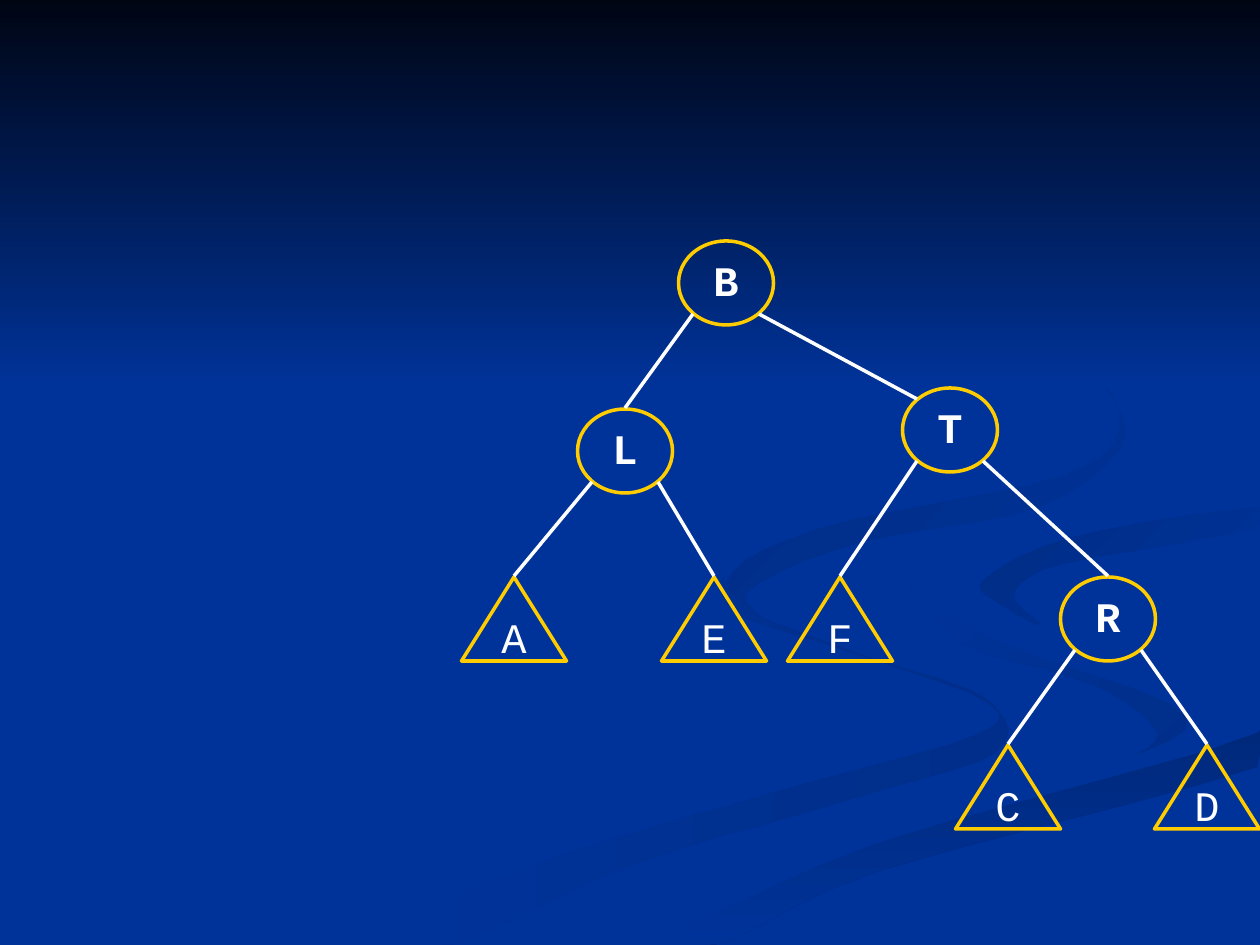
from lxml import etree
from pptx import Presentation
from pptx import util as u
from pptx.dml import color
from pptx.enum import shapes, text
from pptx.oxml import ns

SLIDE = (1260, 945)
SCALE = u.Inches(1) / 126
BLUE, GOLD, WHITE = "003399", "FFCC00", "FFFFFF"
LINE_WIDTH = u.Pt(2)
CIRCLE = (95, 84)
TRIANGLE = (105, 84)
CORNER = (33, 31)
STEPS = 5

RIBBONS = [
    ("002E8A", BLUE, 180, [
        (984, 697), (859, 654), (748, 611), (723, 578), (738, 614), (856, 654), (984, 701),
        (975, 735), (776, 792), (525, 869), (378, 944), (455, 944), (629, 866), (852, 799),
        (997, 752)]),
    ("002E8A", BLUE, 225, [
        (1188, 718), (1140, 680), (998, 641), (912, 585), (965, 645), (1094, 685), (1157, 732),
        (1126, 762), (1174, 742)]),
    ("00297C", BLUE, 90, [
        (634, 944), (719, 944), (876, 872), (1257, 767), (1257, 732), (963, 815), (794, 873)]),
    (BLUE, BLUE, 90, [
        (914, 585), (999, 641), (1188, 718), (1062, 779), (780, 862), (601, 944), (654, 941),
        (877, 843), (1259, 732), (1259, 678), (1068, 634), (984, 583), (1071, 538), (1259, 507),
        (1259, 488), (993, 532)]),
    (BLUE, "002C85", 225, [
        (984, 580), (997, 602), (1041, 625), (1014, 595), (1062, 564), (1257, 529), (1257, 507),
        (1070, 538)]),
    (BLUE, "002B81", 225, [
        (861, 542), (1040, 507), (1126, 433), (1062, 347), (960, 294), (1077, 359), (1120, 422),
        (1061, 476), (818, 529), (727, 582), (784, 630), (747, 592)]),
]
SKY = ("000514", BLUE, 90, (0, 0, 1260, 388))

CENTERS = {"B": (726, 283), "L": (625, 451), "T": (950, 430), "R": (1108, 619),
           "A": (514, 619), "E": (714, 619), "F": (840, 619), "C": (1008, 787), "D": (1207, 787)}
CHILDREN = {"B": "LT", "L": "AE", "T": "FR", "R": "CD"}
SIDE_ENTRY = {"T"}
DOT = (877, 620)

FRAME = {"word_wrap": False, "vertical_anchor": text.MSO_ANCHOR.MIDDLE}
PARAGRAPH = {"alignment": text.PP_ALIGN.CENTER, "line_spacing": 0.9, "space_before": u.Pt(6)}
FONT = {"name": "Courier New", "size": u.Pt(24)}


def px(value):
    return round(value * SCALE)


def rgb(value):
    return color.RGBColor.from_string(value)


def apply(target, values):
    for name, value in values.items():
        setattr(target, name, value)


def set_line(shape, value):
    shape.line.color.rgb = rgb(value)
    shape.line.width = LINE_WIDTH


def paint(shape, first, last, angle):
    shape.shadow.inherit = False
    shape.line.fill.background()
    if first == last:
        shape.fill.solid()
        shape.fill.fore_color.rgb = rgb(first)
        return
    shape.fill.gradient()
    shape.fill.gradient_angle = 360 - angle
    for stop, value in zip(shape.fill.gradient_stops, (first, last)):
        stop.color.rgb = rgb(value)


def blend(a, b, c, d, t):
    return b + t / 2 * (c - a + t * (2 * a - 5 * b + 4 * c - d + t * (3 * (b - c) + d - a)))


def smooth(points):
    count = len(points)
    for index in range(count):
        corners = [points[(index + offset) % count] for offset in (-1, 0, 1, 2)]
        for step in range(STEPS):
            yield tuple(min(blend(*values, step / STEPS), limit)
                        for values, limit in zip(zip(*corners), SLIDE))


def add_ribbon(slide, points):
    outline = list(smooth(points))
    builder = slide.shapes.build_freeform(*outline[0], scale=SCALE)
    builder.add_line_segments(outline[1:], close=True)
    return builder.convert_to_shape()


def add_edge(slide, start, end):
    connector = slide.shapes.add_connector(
        shapes.MSO_CONNECTOR.STRAIGHT, *map(px, start + end))
    set_line(connector, WHITE)
    etree.SubElement(connector._element.spPr, ns.qn("a:effectLst"))


def add_node(slide, label, center):
    inner = label in CHILDREN
    kind = shapes.MSO_SHAPE.OVAL if inner else shapes.MSO_SHAPE.ISOSCELES_TRIANGLE
    width, height = CIRCLE if inner else TRIANGLE
    x, y = center
    shape = slide.shapes.add_shape(
        kind, *map(px, (x - width / 2, y - height / 2, width, height)))
    shape.shadow.inherit = False
    shape.fill.background()
    set_line(shape, GOLD)
    frame = shape.text_frame
    frame.text = label
    paragraph = frame.paragraphs[0]
    font = paragraph.runs[0].font
    apply(frame, FRAME)
    apply(paragraph, PARAGRAPH)
    apply(font, {**FONT, "bold": inner})
    font.color.rgb = rgb(WHITE)


presentation = Presentation()
presentation.slide_width, presentation.slide_height = map(px, SLIDE)
slide = presentation.slides.add_slide(presentation.slide_layouts[6])
slide.background.fill.solid()
slide.background.fill.fore_color.rgb = rgb(BLUE)

for *fill, points in RIBBONS:
    paint(add_ribbon(slide, points), *fill)
*fill, box = SKY
paint(slide.shapes.add_shape(shapes.MSO_SHAPE.RECTANGLE, *map(px, box)), *fill)

for label, center in CENTERS.items():
    add_node(slide, label, center)

dx, dy = CORNER
for parent, children in CHILDREN.items():
    x, y = CENTERS[parent]
    for side, child in zip((-1, 1), children):
        child_x, child_y = CENTERS[child]
        end = (child_x - side * dx, child_y - dy) if child in SIDE_ENTRY else (child_x, child_y - 43)
        add_edge(slide, (x + side * dx, y + dy), end)
add_edge(slide, DOT, DOT)

presentation.save("out.pptx")
